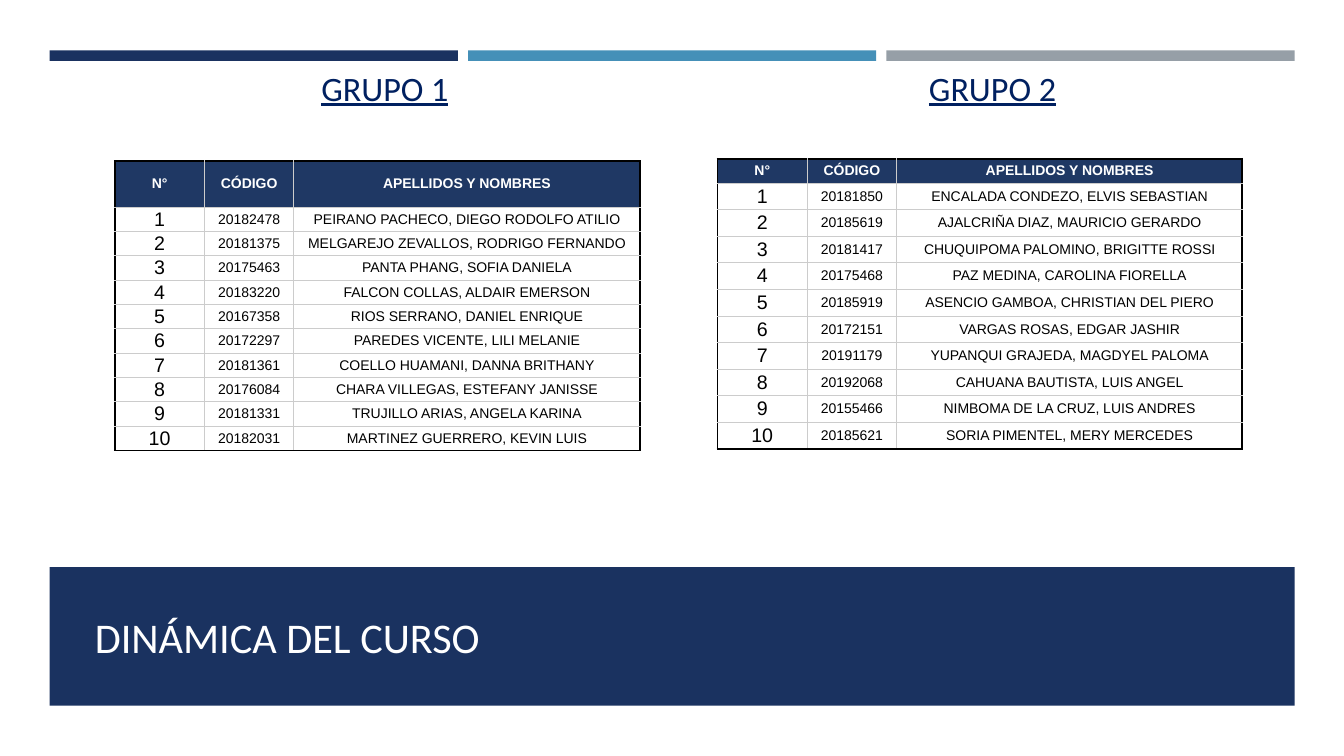
from pptx import Presentation, oxml, util as u
from pptx.dml.color import RGBColor
from pptx.enum import shapes, text
from pptx.oxml import ns

COLORS = {
    "navy": "1A3260", "blue": "4590B8", "gray": "969FA7", "heading": "002060",
    "header": "1F3864", "grid": "CCCCCC", "black": "000000", "white": "FFFFFF",
}
MARGIN = 35.5
BAR_WIDTH, BAR_GAP = 291.6, 7.2
COLUMN_WIDTHS = [64, 64, 247]
HEADERS = ["N°", "CÓDIGO", "APELLIDOS Y NOMBRES"]

GROUP_1 = [
    ("20182478", "PEIRANO PACHECO, DIEGO RODOLFO ATILIO"),
    ("20181375", "MELGAREJO ZEVALLOS, RODRIGO FERNANDO"),
    ("20175463", "PANTA PHANG, SOFIA DANIELA"),
    ("20183220", "FALCON COLLAS, ALDAIR EMERSON"),
    ("20167358", "RIOS SERRANO, DANIEL ENRIQUE"),
    ("20172297", "PAREDES VICENTE, LILI MELANIE"),
    ("20181361", "COELLO HUAMANI, DANNA BRITHANY"),
    ("20176084", "CHARA VILLEGAS, ESTEFANY JANISSE"),
    ("20181331", "TRUJILLO ARIAS, ANGELA KARINA"),
    ("20182031", "MARTINEZ GUERRERO, KEVIN LUIS"),
]
GROUP_2 = [
    ("20181850", "ENCALADA CONDEZO, ELVIS SEBASTIAN"),
    ("20185619", "AJALCRIÑA DIAZ, MAURICIO GERARDO"),
    ("20181417", "CHUQUIPOMA PALOMINO, BRIGITTE ROSSI"),
    ("20175468", "PAZ MEDINA, CAROLINA FIORELLA"),
    ("20185919", "ASENCIO GAMBOA, CHRISTIAN DEL PIERO"),
    ("20172151", "VARGAS ROSAS, EDGAR JASHIR"),
    ("20191179", "YUPANQUI GRAJEDA, MAGDYEL PALOMA"),
    ("20192068", "CAHUANA BAUTISTA, LUIS ANGEL"),
    ("20155466", "NIMBOMA DE LA CRUZ, LUIS ANDRES"),
    ("20185621", "SORIA PIMENTEL, MERY MERCEDES"),
]


def rgb(name):
    return RGBColor.from_string(COLORS[name])


def set_attributes(target, values):
    for name, value in values.items():
        setattr(target, name, value)


def place(shape, left, top, width, height):
    set_attributes(shape, {"left": u.Pt(left), "top": u.Pt(top),
                           "width": u.Pt(width), "height": u.Pt(height)})


def write(frame, words, color, align, **font):
    paragraph = frame.paragraphs[0]
    paragraph.alignment = align
    run = paragraph.add_run()
    run.text = words
    set_attributes(run.font, font)
    run.font.color.rgb = rgb(color)


def add_bar(slide, left, top, width, height, color):
    bar = slide.shapes.add_shape(shapes.MSO_SHAPE.RECTANGLE, 0, 0, 0, 0)
    place(bar, left, top, width, height)
    bar.shadow.inherit = False
    bar.fill.solid()
    bar.fill.fore_color.rgb = rgb(color)
    bar.line.fill.background()
    return bar


def write_line(shape, words, color, size, underline=False):
    frame = shape.text_frame
    set_attributes(frame, {"word_wrap": True, "auto_size": text.MSO_AUTO_SIZE.NONE,
                           "vertical_anchor": text.MSO_ANCHOR.BOTTOM})
    write(frame, words, color, text.PP_ALIGN.LEFT,
          name="Calibri", size=u.Pt(size), underline=underline)


def add_heading(slide, words, left):
    heading = slide.shapes.add_textbox(0, 0, 0, 0)
    place(heading, left, 35.3, 200, 45.4)
    write_line(heading, words, "heading", 24.4, underline=True)


def set_borders(cell, outer_sides):
    """Black on the outside of the table, thin gray inside."""
    properties = cell._tc.get_or_add_tcPr()
    for position, side in enumerate("LRTB"):
        color, width = ("black", 1.5) if side in outer_sides else ("grid", 0.75)
        properties.insert(position, oxml.parse_xml(
            f'<a:ln{side} {ns.nsdecls("a")} w="{u.Pt(width)}"><a:solidFill>'
            f'<a:srgbClr val="{COLORS[color]}"/></a:solidFill></a:ln{side}>'))


def format_cell(cell, words, header, size, outer_sides):
    set_attributes(cell, {
        "margin_left": u.Pt(2), "margin_right": u.Pt(2), "margin_top": 0,
        "margin_bottom": 0, "vertical_anchor": text.MSO_ANCHOR.MIDDLE})
    cell.fill.solid()
    cell.fill.fore_color.rgb = rgb("header" if header else "white")
    write(cell.text_frame, words, "white" if header else "black",
          text.PP_ALIGN.CENTER, name="Arial", size=u.Pt(size), bold=header)
    set_borders(cell, outer_sides)


def add_group_table(slide, students, left, top, header_height, row_height):
    rows = [HEADERS] + [(str(number), *student)
                        for number, student in enumerate(students, 1)]
    heights = [header_height] + [row_height] * len(students)
    table = slide.shapes.add_table(
        len(rows), len(HEADERS), u.Pt(left), u.Pt(top),
        u.Pt(sum(COLUMN_WIDTHS)), u.Pt(sum(heights))).table
    for column, width in zip(table.columns, COLUMN_WIDTHS):
        column.width = u.Pt(width)
    for row, height in zip(table.rows, heights):
        row.height = u.Pt(height)
    last_row, last_column = len(rows) - 1, len(HEADERS) - 1
    for r, values in enumerate(rows):
        for c, words in enumerate(values):
            edges = {"L": c == 0, "R": c == last_column,
                     "T": r == 0, "B": r == last_row}
            outer_sides = [side for side, outer in edges.items() if outer]
            size = 14 if c == 0 and r > 0 else 10
            format_cell(table.cell(r, c), words, r == 0, size, outer_sides)


def main():
    presentation = Presentation()
    presentation.slide_width, presentation.slide_height = u.Pt(960), u.Pt(540)
    slide = presentation.slides.add_slide(presentation.slide_layouts[5])

    # Top bars
    for index, color in enumerate(["navy", "blue", "gray"]):
        add_bar(slide, MARGIN + index * (BAR_WIDTH + BAR_GAP), 36,
                BAR_WIDTH, 7.5, color)

    # Title on the bottom band
    band = add_bar(slide, MARGIN, 405, 3 * BAR_WIDTH + 2 * BAR_GAP, 99, "navy")
    title = slide.shapes.title
    place(title, 60.5, 431.3, 868, 45.4)
    write_line(title, "DINÁMICA DEL CURSO", "white", 30.2)
    band.element.addnext(title.element)

    # Groups
    add_heading(slide, "GRUPO 1", 222.5)
    add_heading(slide, "GRUPO 2", 656.5)
    add_group_table(slide, GROUP_1, 82, 115, 33, 17.4)
    add_group_table(slide, GROUP_2, 512.5, 113.5, 17.3, 19)

    presentation.save("out.pptx")


main()
